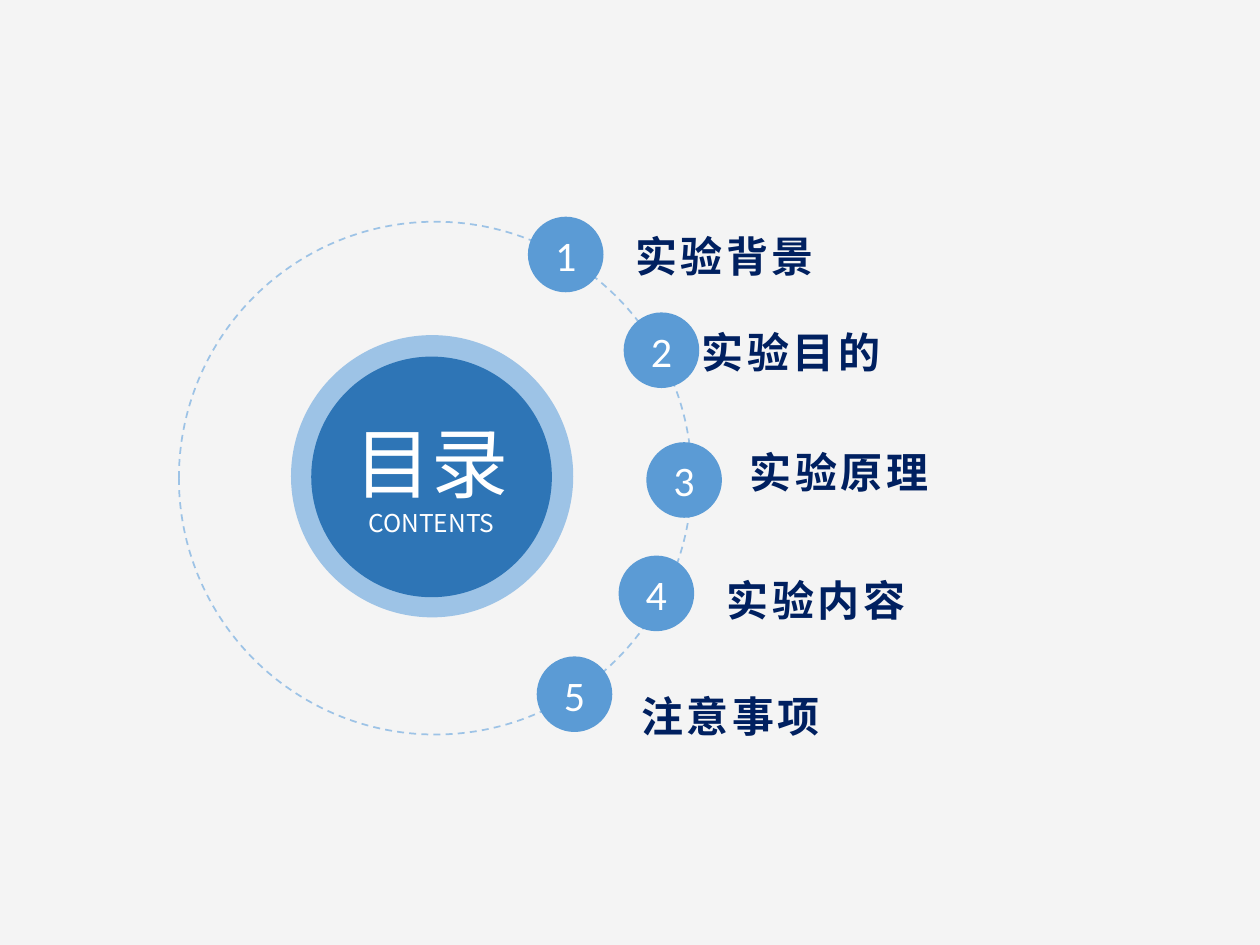
from lxml import etree
from pptx import Presentation
from pptx.dml.color import RGBColor
from pptx.enum import dml, shapes, text
from pptx.oxml.ns import qn
from pptx.util import Inches, Pt

COLORS = {
    "background": "F4F4F4",
    "ring": "9DC3E6",
    "hub": "2E75B6",
    "badge": "5B9BD5",
    "label": "002060",
    "white": "FFFFFF",
}
CJK_FONT = "Noto Sans CJK SC"


def add_circle(left, top, size, fill=None):
    circle = page.shapes.add_shape(
        shapes.MSO_SHAPE.OVAL, Inches(left), Inches(top), Inches(size), Inches(size))
    circle.shadow.inherit = False
    if fill:
        circle.fill.solid()
        circle.fill.fore_color.rgb = RGBColor.from_string(COLORS[fill])
        circle.line.fill.background()
    else:
        circle.fill.background()
    return circle


def write(para, words, size, color="white", font=CJK_FONT, bold=False,
          align=text.PP_ALIGN.CENTER, line_spacing=None, tracking=0):
    """Add one formatted run; tracking is the letter spacing in points."""
    para.alignment = align
    para.line_spacing = line_spacing
    span = para.add_run()
    span.text = words
    span.font.size = Pt(size)
    span.font.bold = bold
    span.font.name = font
    span.font.color.rgb = RGBColor.from_string(COLORS[color])
    properties = span.font._element
    etree.SubElement(properties, qn("a:ea")).set("typeface", font)
    if tracking:
        properties.set("spc", str(tracking * 100))


deck = Presentation()
deck.slide_width, deck.slide_height = Inches(10), Inches(7.5)
page = deck.slides.add_slide(deck.slide_layouts[6])
page.background.fill.solid()
page.background.fill.fore_color.rgb = RGBColor.from_string(COLORS["background"])

# Central hub and dashed orbit
add_circle(2.31, 2.66, 2.24, "ring")
orbit = add_circle(1.42, 1.76, 4.07)
orbit.line.color.rgb = RGBColor.from_string(COLORS["ring"])
orbit.line.width = Pt(1)
orbit.line.dash_style = dml.MSO_LINE.DASH

hub = add_circle(2.47, 2.83, 1.91, "hub").text_frame
hub.margin_left = hub.margin_top = hub.margin_right = hub.margin_bottom = 0
hub.vertical_anchor = text.MSO_ANCHOR.MIDDLE
write(hub.paragraphs[0], "目录", 44)
write(hub.add_paragraph(), "CONTENTS", 14)

# Topics: label, badge left and top, label left, top and width, line spacing
topics = [
    ("实验背景", 4.19, 1.72, 5.00, 1.57, 3.91, 1.2),
    ("实验目的", 4.95, 2.48, 5.53, 2.40, 3.57, 0.9),
    ("实验原理", 5.13, 3.51, 5.91, 3.35, 3.57, 0.9),
    ("实验内容", 4.91, 4.41, 5.73, 4.30, 3.30, 1.2),
    ("注意事项", 4.26, 5.21, 5.05, 5.22, 4.03, 1.2),
]
for number, (topic, badge_left, badge_top, left, top, width, spacing) in enumerate(topics, 1):
    box = page.shapes.add_textbox(Inches(left), Inches(top), Inches(width), Inches(0.84))
    label = box.text_frame
    label.word_wrap = True
    label.margin_left = Inches(0.04)
    label.margin_top = label.margin_right = label.margin_bottom = 0
    label.vertical_anchor = text.MSO_ANCHOR.MIDDLE
    write(label.paragraphs[0], topic, 24, color="label", bold=True,
          align=text.PP_ALIGN.LEFT, line_spacing=spacing, tracking=2)

    badge = add_circle(badge_left, badge_top, 0.6, "badge").text_frame
    badge.vertical_anchor = text.MSO_ANCHOR.MIDDLE
    write(badge.paragraphs[0], str(number), 24, font="Calibri")

deck.save("out.pptx")
